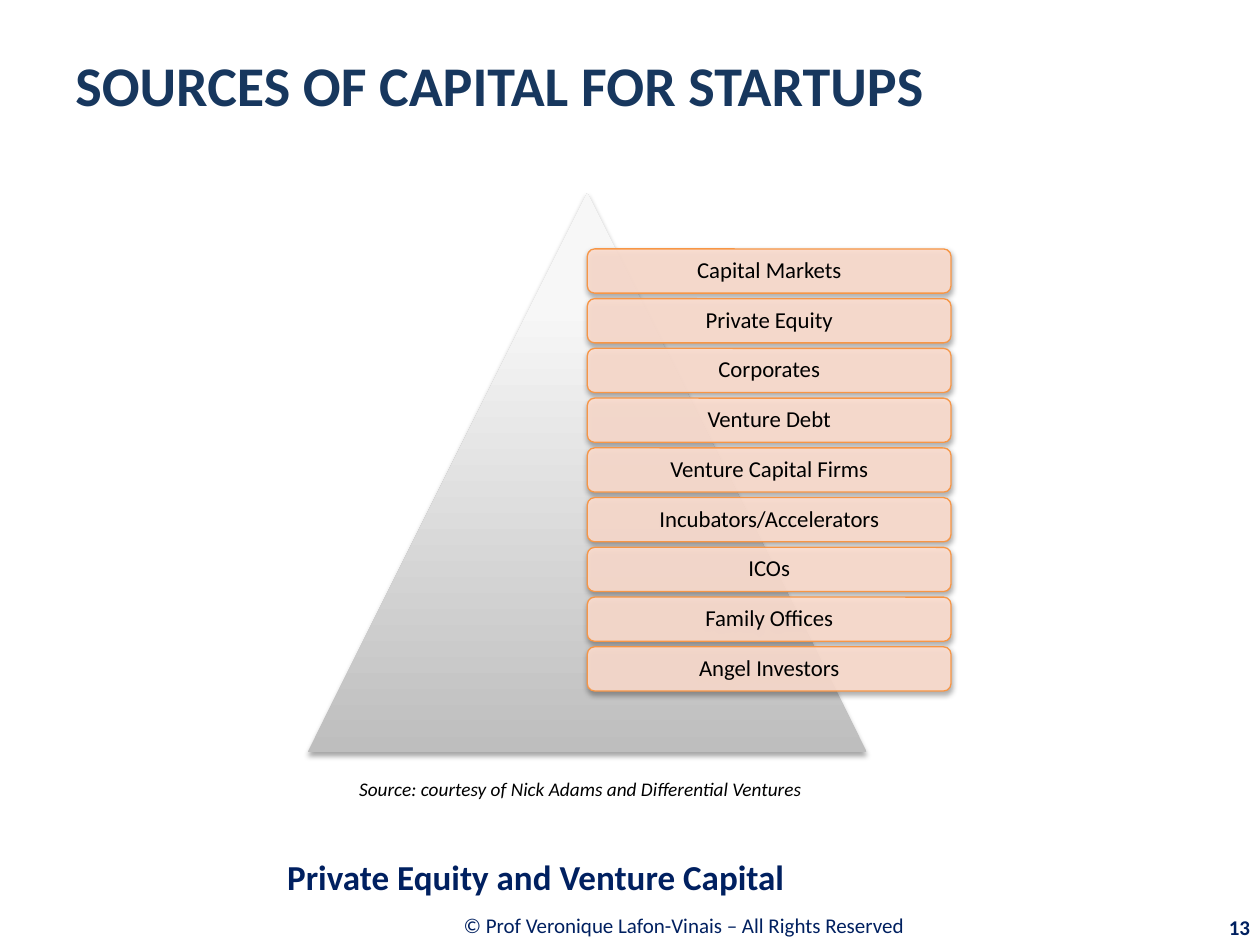
from lxml import etree
from pptx import Presentation
from pptx.dml.color import RGBColor
from pptx.enum.shapes import MSO_SHAPE
from pptx.enum.text import MSO_ANCHOR, PP_ALIGN
from pptx.oxml import parse_xml
from pptx.oxml.ns import qn
from pptx.util import Cm, Pt

FONT = "Calibri"
NAVY = RGBColor(0x00, 0x20, 0x60)
TITLE_BLUE = RGBColor(0x17, 0x37, 0x5E)
BLACK = RGBColor(0x00, 0x00, 0x00)
PEACH = RGBColor(0xFC, 0xDD, 0xCF)
ORANGE = RGBColor(0xF7, 0x96, 0x46)
GREY = RGBColor(0xBE, 0xBE, 0xBE)
LIGHT_GREY = RGBColor(0xF7, 0xF7, 0xF7)
PALE_GREY = RGBColor(0xF8, 0xF8, 0xF8)
PYRAMID_STOPS = [(0, GREY), (80, LIGHT_GREY), (100, PALE_GREY)]

NS = 'xmlns:a="http://schemas.openxmlformats.org/drawingml/2006/main"'

SOURCES = [
    "Capital Markets",
    "Private Equity",
    "Corporates",
    "Venture Debt",
    "Venture Capital Firms",
    "Incubators/Accelerators",
    "ICOs",
    "Family Offices",
    "Angel Investors",
]


def write(sp, text, size, color, bold=False, italic=False,
          align=PP_ALIGN.LEFT, spacing=1.0):
    tf = sp.text_frame
    tf.word_wrap = True
    tf.vertical_anchor = MSO_ANCHOR.MIDDLE
    p = tf.paragraphs[0]
    p.alignment = align
    p.line_spacing = spacing
    r = p.add_run()
    r.text = text
    r.font.name = FONT
    r.font.size = Pt(size)
    r.font.bold = bold
    r.font.italic = italic
    r.font.color.rgb = color


def add_text(s, box, text, size, color, **style):
    sp = s.shapes.add_textbox(*(Cm(v) for v in box))
    write(sp, text, size, color, **style)


def add_soft_shadow(sp):
    sp.shadow.inherit = False
    effects = sp._element.spPr.find(qn("a:effectLst"))
    effects.append(parse_xml(
        f'<a:outerShdw {NS} blurRad="{Pt(3.1)}" dist="{Pt(1.8)}" dir="5400000" '
        'rotWithShape="0"><a:srgbClr val="000000"><a:alpha val="35000"/>'
        '</a:srgbClr></a:outerShdw>'))


def set_gradient(sp, stops):
    """Fill from bottom to top with (percent, colour) stops."""
    sp.fill.gradient()
    sp.fill.gradient_angle = 90
    stop_list = sp._element.spPr.find(qn("a:gradFill")).find(qn("a:gsLst"))
    for stop in list(stop_list):
        stop_list.remove(stop)
    for percent, color in stops:
        stop_list.append(parse_xml(
            f'<a:gs {NS} pos="{percent * 1000}"><a:srgbClr val="{color}"/></a:gs>'))


def add_source_bar(group, left, top, width, height, label):
    sp = group.shapes.add_shape(MSO_SHAPE.ROUNDED_RECTANGLE,
                                Cm(left), Cm(top), Cm(width), Cm(height))
    sp.fill.solid()
    sp.fill.fore_color.rgb = PEACH
    color = sp._element.spPr.find(qn("a:solidFill"))[0]
    etree.SubElement(color, qn("a:alpha")).set("val", "90000")
    sp.line.color.rgb = ORANGE
    sp.line.width = Pt(0.75)
    add_soft_shadow(sp)
    tf = sp.text_frame
    tf.margin_left = tf.margin_right = Cm(0.17)
    tf.margin_top = tf.margin_bottom = Cm(0.13)
    write(sp, label, 13, BLACK, align=PP_ALIGN.CENTER, spacing=0.9)


def add_pyramid(s, left, top, size, labels):
    """Triangle with a column of bars starting at its centre line."""
    group = s.shapes.add_group_shape()
    sp = group.shapes.add_shape(MSO_SHAPE.ISOSCELES_TRIANGLE,
                                Cm(left), Cm(top), Cm(size), Cm(size))
    set_gradient(sp, PYRAMID_STOPS)
    sp.line.fill.background()
    add_soft_shadow(sp)

    pitch = 0.8 * size / len(labels)
    for i, label in enumerate(labels):
        add_source_bar(group, left + size / 2, top + 0.1 * size + i * pitch,
                       0.65 * size, pitch * 8 / 9, label)


def add_footer(s, left, top, width, height):
    add_text(s, (left, top, width, 1.19), "Private Equity and Venture Capital",
             20, NAVY, bold=True)
    add_text(s, (left + 0.02, top + 1.09, 16.46, 0.99),
             "© Prof Veronique Lafon-Vinais – All Rights Reserved",
             12, NAVY, align=PP_ALIGN.CENTER)
    add_text(s, (left + width - 2.52, top + height - 0.81, 2.57, 0.81), "13",
             12, NAVY, bold=True, align=PP_ALIGN.RIGHT)


def main():
    prs = Presentation()
    prs.slide_width, prs.slide_height = Cm(25.4), Cm(19.05)
    s = prs.slides.add_slide(prs.slide_layouts[6])
    add_text(s, (1.27, 0.43, 22.86, 2.54), "SOURCES OF CAPITAL FOR STARTUPS",
             32, TITLE_BLUE, bold=True)
    add_pyramid(s, 6.2, 3.89, 11.28, SOURCES)
    add_text(s, (6.99, 15.57, 10.62, 0.76),
             "Source: courtesy of Nick Adams and Differential Ventures",
             11, BLACK, italic=True, spacing=0.8)
    add_footer(s, 5.54, 17.07, 19.86, 2.03)
    prs.save("out.pptx")


if __name__ == "__main__":
    main()
